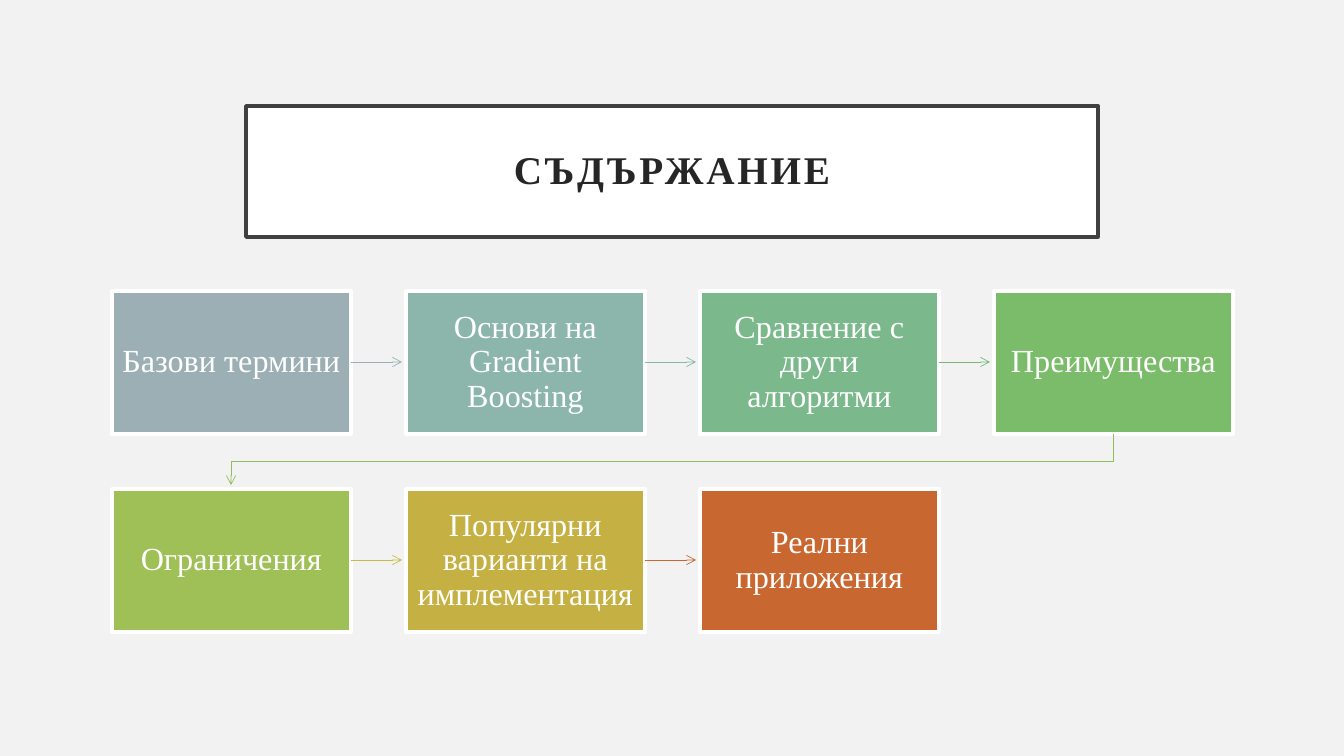
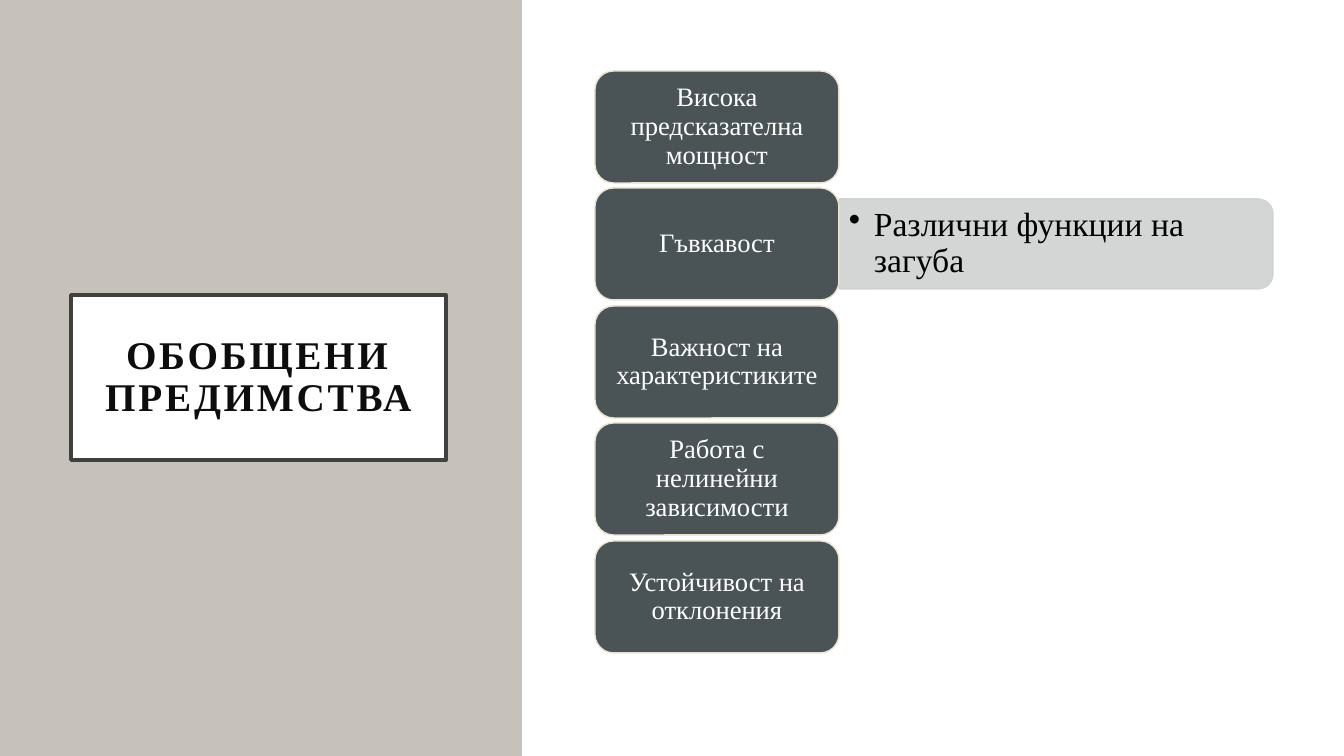
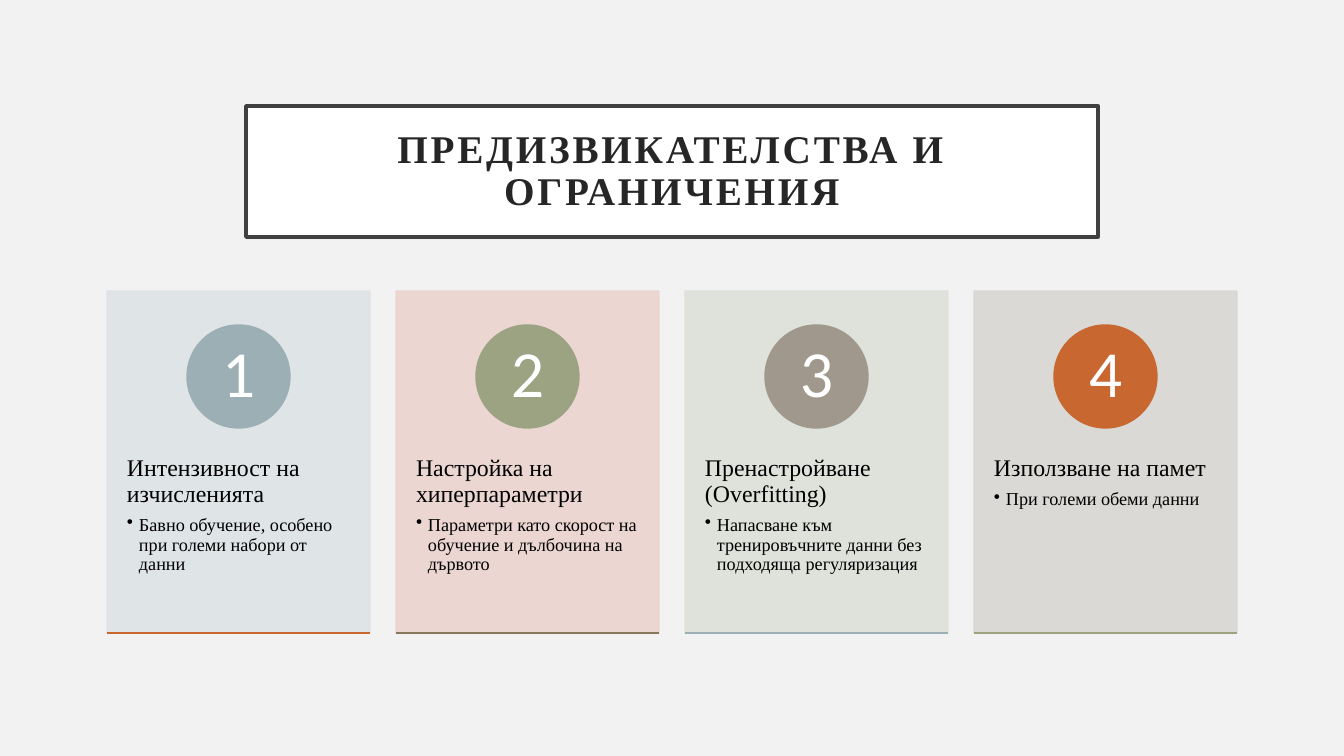
from lxml.etree import SubElement
from pptx import Presentation
from pptx.dml.color import RGBColor
from pptx.enum.shapes import MSO_CONNECTOR as CONNECTOR, MSO_SHAPE as SHAPE
from pptx.enum.text import MSO_ANCHOR as ANCHOR, MSO_AUTO_SIZE as AUTO_SIZE, PP_ALIGN as ALIGN
from pptx.oxml.ns import qn
from pptx.util import Emu, Pt

# Content
CONTENTS_TITLE = "СЪДЪРЖАНИЕ"
STEPS = [  # text, box colour, colour of the arrow to the next step
    ("Базови термини", "9BAFB5", "9BAFB5"),
    ("Основи на Gradient Boosting", "8CB6AC", "88B6A7"),
    ("Сравнение с други алгоритми", "7BB88C", "74B97A"),
    ("Преимущества", "7ABC69", "8EBE5E"),
    ("Ограничения", "9FC057", "C4BC47"),
    ("Популярни варианти на имплементация", "C5B043", "C96731"),
    ("Реални приложения", "C96731", None),
]
ADVANTAGES_TITLE = "ОБОБЩЕНИ ПРЕДИМСТВА"
ADVANTAGES = [  # text, detail
    ("Висока предсказателна мощност", None),
    ("Гъвкавост", "Различни функции на загуба"),
    ("Важност на характеристиките", None),
    ("Работа с нелинейни зависимости", None),
    ("Устойчивост на отклонения", None),
]
CHALLENGES_TITLE = "ПРЕДИЗВИКАТЕЛСТВА И ОГРАНИЧЕНИЯ"
CHALLENGES = [  # heading, detail, card, circle and base line colours
    ("Интензивност на изчисленията", "Бавно обучение, особено при големи набори от данни",
     "DEE3E5", "9BAFB5", "C96731"),
    ("Настройка на хиперпараметри", "Параметри като скорост на обучение и дълбочина на дървото",
     "EBD3CE", "9CA383", "87795D"),
    ("Пренастройване (Overfitting)",
     "Напасване към тренировъчните данни без подходяща регуляризация",
     "DEE0D9", "A0988C", "9BAFB5"),
    ("Използване на памет", "При големи обеми данни", "D9D7D2", "C96731", "9CA383"),
]

# Shared look
SLIDE_WIDTH, SLIDE_HEIGHT = 1344, 756
WHITE, BLACK, LIGHT, TAUPE = "FFFFFF", "000000", "F2F2F2", "C6C1BA"
FRAME, TITLE_DARK, TITLE_DARKER = "404040", "262626", "0D0D0D"
SLATE, CREAM, PALE = "4A5356", "E8E3CE", "D0D1D1"
SERIF, SANS = "Times New Roman", "Calibri"
WIDE_TITLE = (246, 106, 852, 131)
SIDE_TITLE = (71, 295, 375, 165)


def px(length):
    return Emu(round(length * 914400 / 100.8))


def rgb(color):
    return RGBColor.from_string(color)


def outline(shape, color, width):
    shape.line.color.rgb = rgb(color)
    shape.line.width = Pt(width)


def set_insets(frame, horizontal, top, bottom):
    frame.margin_left = frame.margin_right = px(horizontal)
    frame.margin_top, frame.margin_bottom = px(top), px(bottom)
    frame.word_wrap = True


def format_paragraph(paragraph, size, color, font=SERIF, align=ALIGN.CENTER):
    paragraph.alignment = align
    paragraph.line_spacing = 0.9
    for run in paragraph.runs:
        run.font.size, run.font.name = Pt(size), font
        run.font.color.rgb = rgb(color)


def add_bullet(paragraph, indent):
    properties = paragraph._p.get_or_add_pPr()
    properties.set("marL", str(px(indent)))
    properties.set("indent", str(-px(indent)))
    SubElement(properties, qn("a:buChar")).set("char", "•")


def add_box(slide, kind, box, fill, line, width):
    shape = slide.shapes.add_shape(kind, *map(px, box))
    shape.shadow.inherit = False
    shape.fill.solid()
    shape.fill.fore_color.rgb = rgb(fill)
    outline(shape, line, width)
    return shape


def add_label(shape, text, size, insets, font=SERIF):
    frame = shape.text_frame
    set_insets(frame, *insets)
    frame.vertical_anchor = ANCHOR.MIDDLE
    frame.text = text
    format_paragraph(frame.paragraphs[0], size, WHITE, font)


def make_translucent(shape):
    for color in list(shape._element.spPr.iter(qn("a:srgbClr"))):
        SubElement(color, qn("a:alpha")).set("val", "90000")


def add_line(slide, start, end, color, width):
    line = slide.shapes.add_connector(CONNECTOR.STRAIGHT, *map(px, start + end))
    outline(line, color, width)
    SubElement(line._element.spPr, qn("a:effectLst"))
    return line


def add_arrowhead(shape):
    SubElement(shape.line._get_or_add_ln(), qn("a:tailEnd")).set("type", "arrow")


def start_slide(presentation, text, box, background, color):
    slide = presentation.slides.add_slide(presentation.slide_layouts[5])
    slide.background.fill.solid()
    slide.background.fill.fore_color.rgb = rgb(background)
    title = slide.shapes.title
    title.left, title.top, title.width, title.height = map(px, box)
    title.fill.solid()
    title.fill.fore_color.rgb = rgb(WHITE)
    outline(title, FRAME, 2.5)
    frame = title.text_frame
    frame.text = text
    frame.auto_size = AUTO_SIZE.NONE
    frame.vertical_anchor = ANCHOR.MIDDLE
    set_insets(frame, 20, 20, 20)
    format_paragraph(frame.paragraphs[0], 28, color)
    for run in frame.paragraphs[0].runs:
        run.font.bold = True
        run.font._element.set("spc", "200")
    return slide


def build_contents(presentation):
    slide = start_slide(presentation, CONTENTS_TITLE, WIDE_TITLE, LIGHT, TITLE_DARK)
    columns, width, height, arrow = 4, 239, 143, 51
    first_left, first_top, step_x, step_y = 112, 291, 294, 198
    for index, (text, fill, arrow_color) in enumerate(STEPS):
        row, column = divmod(index, columns)
        left, top = first_left + column * step_x, first_top + row * step_y
        right, bottom, middle = left + width, top + height, top + height // 2
        box = add_box(slide, SHAPE.RECTANGLE, (left, top, width, height), fill, WHITE, 2.5)
        add_label(box, text, 23, (10, 12, 12))
        if not arrow_color:
            continue
        if column < columns - 1:
            connector = add_line(slide, (right, middle), (right + arrow, middle),
                                 arrow_color, 0.5)
        else:
            # Bent arrow down to the start of the next row
            center, target = left + width // 2, first_left + width // 2
            builder = slide.shapes.build_freeform(px(center), px(bottom))
            bend = bottom + 27
            points = [(center, bend), (target, bend), (target, bottom + arrow)]
            builder.add_line_segments([(px(x), px(y)) for x, y in points], close=False)
            connector = builder.convert_to_shape()
            connector.shadow.inherit = False
            connector.fill.background()
            outline(connector, arrow_color, 0.5)
        add_arrowhead(connector)


def add_detail(slide, text, left, middle):
    length, thickness = 434, 90
    # The bar is drawn upright, then turned about its centre
    upright = (left + (length - thickness) // 2, middle - length // 2, thickness, length)
    bar = add_box(slide, SHAPE.ROUND_2_SAME_RECTANGLE, upright, PALE, PALE, 1)
    bar.rotation = 90
    make_translucent(bar)
    box = (left, middle - thickness // 2, length - 5, thickness)
    frame = slide.shapes.add_textbox(*map(px, box)).text_frame
    set_insets(frame, 10, 5, 5)
    frame.vertical_anchor = ANCHOR.MIDDLE
    frame.text = text
    format_paragraph(frame.paragraphs[0], 24, BLACK, align=ALIGN.LEFT)
    add_bullet(frame.paragraphs[0], 25)


def build_advantages(presentation):
    slide = start_slide(presentation, ADVANTAGES_TITLE, SIDE_TITLE, TAUPE, TITLE_DARKER)
    panel_left = 522
    panel = (panel_left, 0, SLIDE_WIDTH - panel_left, SLIDE_HEIGHT)
    add_box(slide, SHAPE.RECTANGLE, panel, WHITE, WHITE, 1).line.fill.background()
    left, first_top, width, height, last_offset = 595, 71, 244, 112, 470
    for index, (text, detail) in enumerate(ADVANTAGES):
        top = first_top + index * last_offset // (len(ADVANTAGES) - 1)
        if detail:
            add_detail(slide, detail, left + width, top + height // 2)
        box = add_box(slide, SHAPE.ROUNDED_RECTANGLE, (left, top, width, height),
                      SLATE, CREAM, 1)
        add_label(box, text, 19, (8, 4, 4))


def build_challenges(presentation):
    slide = start_slide(presentation, CHALLENGES_TITLE, WIDE_TITLE, LIGHT, TITLE_DARK)
    first_left, top, step, width, height, diameter = 107, 291, 289, 263, 342, 103
    for index, (heading, detail, fill, circle_color, base_color) in enumerate(CHALLENGES):
        left, bottom = first_left + index * step, top + height
        card = add_box(slide, SHAPE.RECTANGLE, (left, top, width, height), fill, fill, 1)
        make_translucent(card)
        frame = card.text_frame
        set_insets(frame, 20, 165, 36)
        frame.vertical_anchor = ANCHOR.TOP
        frame.text = f"{heading}\n{detail}"
        for paragraph, size in zip(frame.paragraphs, (17, 13)):
            format_paragraph(paragraph, size, BLACK, align=ALIGN.LEFT)
        frame.paragraphs[0].space_after = Pt(6)
        add_bullet(frame.paragraphs[1], 12)
        # Numbered circle and base line
        circle_box = (left + (width - diameter) // 2, top + 34, diameter, diameter)
        circle = add_box(slide, SHAPE.OVAL, circle_box, circle_color, circle_color, 1)
        add_label(circle, str(index + 1), 47, (8, 1, 1), SANS)
        add_line(slide, (left, bottom), (left + width, bottom), base_color, 1)


def main():
    presentation = Presentation()
    presentation.slide_width, presentation.slide_height = px(SLIDE_WIDTH), px(SLIDE_HEIGHT)
    build_contents(presentation)
    build_advantages(presentation)
    build_challenges(presentation)
    presentation.save("out.pptx")


if __name__ == "__main__":
    main()
